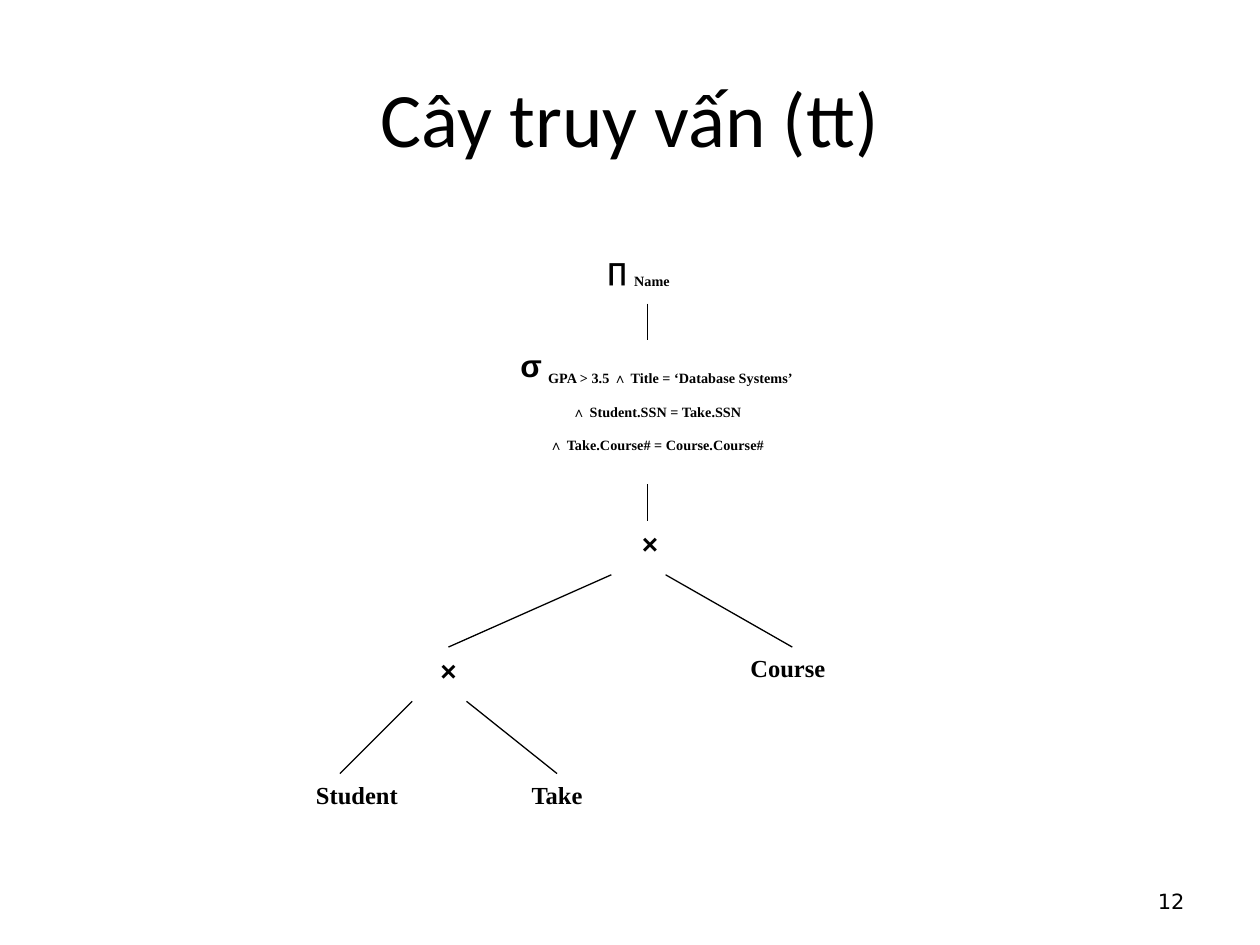
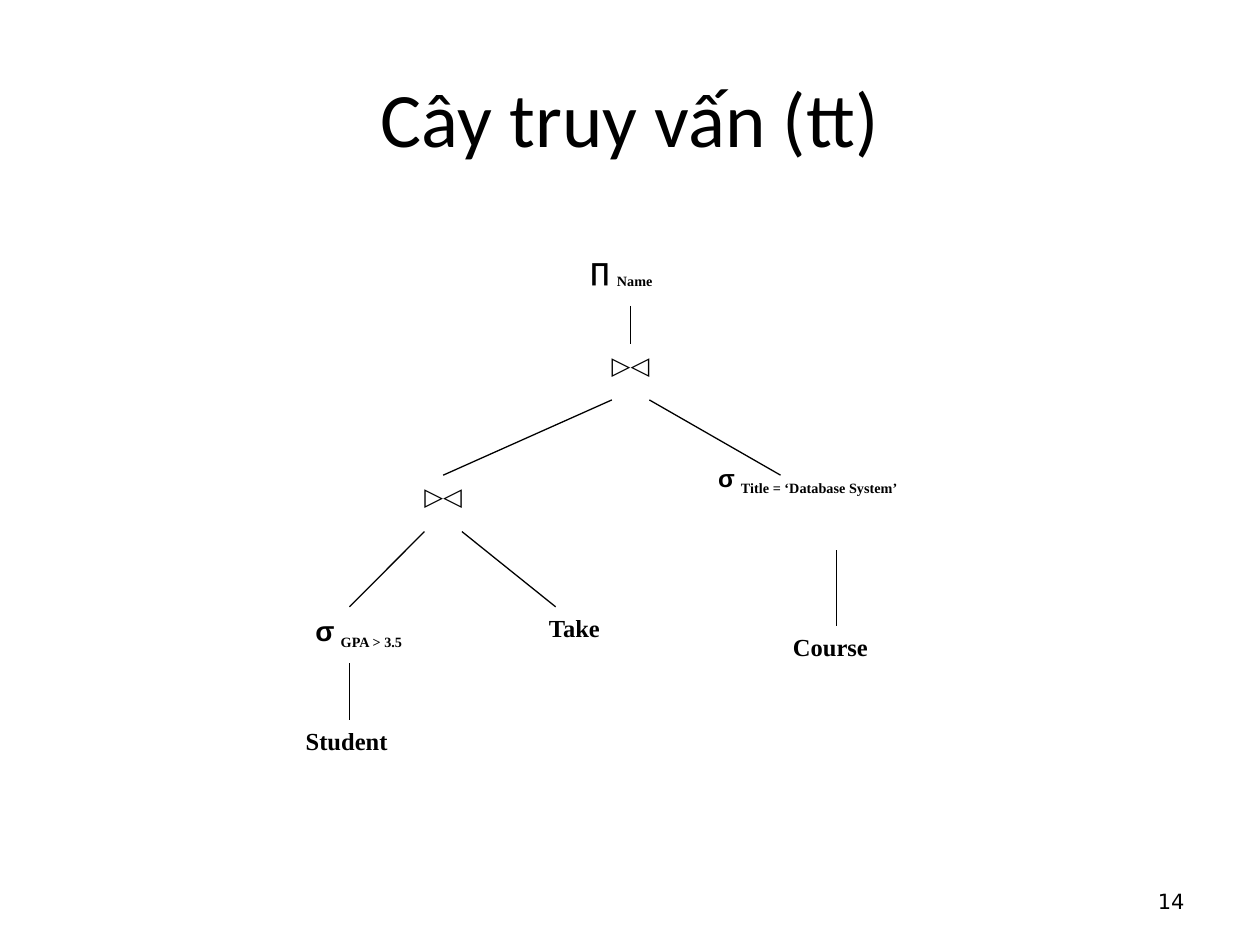
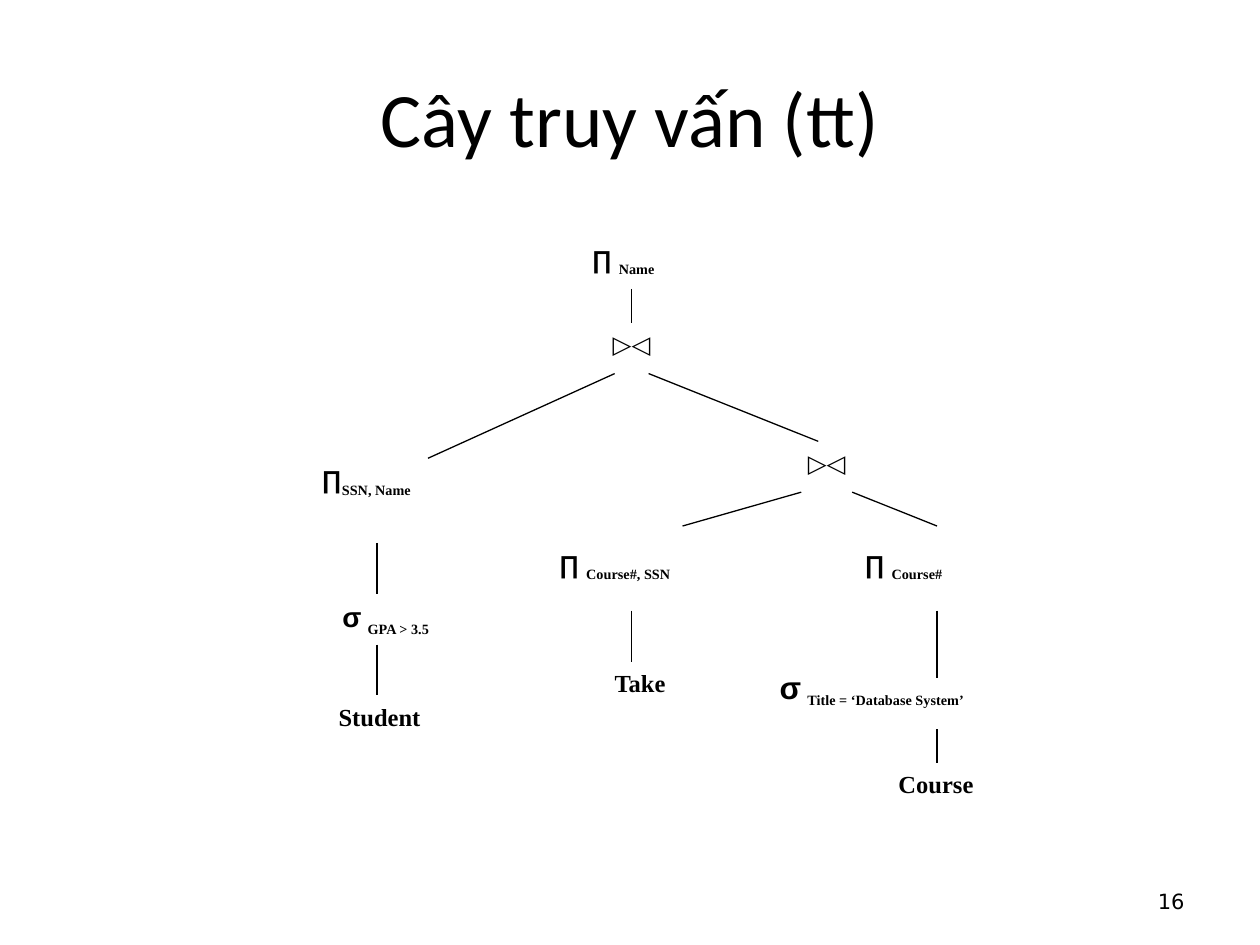
from pptx import Presentation
from pptx.dml.color import RGBColor
from pptx.enum.shapes import MSO_CONNECTOR as Connector
from pptx.enum.text import MSO_ANCHOR as Anchor, PP_ALIGN as Align
from pptx.oxml.ns import qn
from pptx.util import Inches, Pt
from lxml import etree

INK = "000000"
TITLE_BOX = (0.5, 0.3, 9, 1.25)
NUMBER_BOX = (7.17, 6.95, 2.33, 0.4)
SERIF, SANS = "Times New Roman", "Arial"
LEFT, CENTER = Align.LEFT, Align.CENTER


def color(hex_text):
    return RGBColor.from_string(hex_text)


def symbol(text, size=14):
    return text, SANS, size, True, 0


def word(text):
    return text, SERIF, 14, True, 0


def subscript(text, font=SERIF):
    return text, font, 14, True, -25000


def project(attributes, gap=" "):
    return [[symbol("∏" + gap), subscript(attributes)]]


def select(condition, size=16):
    return [[symbol("σ", size), word(" "), subscript(condition)]]


def relation(name):
    return [[word(name)]]


def and_condition(condition):
    return [subscript("∧", SANS), subscript(" " + condition)]


JOIN = [[symbol("▷◁")]]
PRODUCT = [[symbol("×", 16)]]
NAME = project("Name")
FULL_SELECTION = [
    select("GPA > 3.5 ", 18)[0] + and_condition("Title = ‘Database Systems’"),
    and_condition("Student.SSN = Take.SSN"),
    and_condition("Take.Course# = Course.Course#"),
]

PRODUCT_TREE = {
    "number": 12,
    "box": (2.41, 1.98, 4.74, 4.59),
    "grid": (33, 32),
    "nodes": [
        (14, 0, 9, 3, CENTER, NAME),
        (6, 5, 27, 8, CENTER, FULL_SELECTION),
        (18, 15, 3, 3, LEFT, PRODUCT),
        (5, 22, 6, 3, CENTER, PRODUCT),
        (24, 22, 7, 3, LEFT, relation("Course")),
        (0, 29, 7, 3, LEFT, relation("Student")),
        (10, 29, 8, 3, CENTER, relation("Take")),
    ],
    "edges": [
        (19, 3, 19, 5), (19, 13, 19, 15), (17, 18, 8, 22),
        (20, 18, 27, 22), (6, 25, 2, 29), (9, 25, 14, 29),
    ],
}

JOIN_TREE = {
    "number": 14,
    "box": (2.03, 1.98, 5.95, 4.18),
    "grid": (40, 28),
    "nodes": [
        (15, 0, 9, 3, CENTER, NAME),
        (17, 5, 6, 3, CENTER, JOIN),
        (7, 12, 6, 3, CENTER, JOIN),
        (24, 11, 16, 4, LEFT, select("Title = ‘Database System’", 14)),
        (0, 19, 11, 3, CENTER, select("GPA > 3.5")),
        (13, 19, 8, 3, CENTER, relation("Take")),
        (28, 20, 7, 3, LEFT, relation("Course")),
        (2, 25, 7, 3, LEFT, relation("Student")),
    ],
    "edges": [
        (20, 3, 20, 5), (19, 8, 10, 12), (21, 8, 28, 12), (9, 15, 5, 19),
        (11, 15, 16, 19), (31, 16, 31, 20), (5, 22, 5, 25),
    ],
}

PROJECTED_TREE = {
    "number": 16,
    "box": (2.32, 1.89, 5.79, 4.57),
    "grid": (43, 34),
    "nodes": [
        (15, 0, 9, 3, CENTER, NAME),
        (17, 5, 6, 3, CENTER, JOIN),
        (29, 12, 5, 3, CENTER, JOIN),
        (1, 13, 10, 4, LEFT, project("SSN, Name", "")),
        (15, 18, 11, 4, LEFT, project("Course#, SSN")),
        (33, 18, 8, 4, LEFT, project("Course#")),
        (0, 21, 11, 3, CENTER, select("GPA > 3.5")),
        (17, 25, 7, 3, CENTER, relation("Take")),
        (28, 25, 15, 3, LEFT, select("Title = ‘Database System’", 18)),
        (2, 27, 7, 3, LEFT, relation("Student")),
        (35, 31, 7, 3, LEFT, relation("Course")),
    ],
    "edges": [
        (20, 3, 20, 5), (19, 8, 8, 13), (21, 8, 31, 12), (30, 15, 23, 17),
        (33, 15, 38, 17), (5, 18, 5, 21), (5, 24, 5, 27), (20, 22, 20, 25),
        (38, 22, 38, 26), (38, 29, 38, 31),
    ],
}


def add_text(page, box, paragraphs, align, anchor=Anchor.TOP):
    frame = page.shapes.add_textbox(*map(Inches, box)).text_frame
    frame.word_wrap = True
    frame.vertical_anchor = anchor
    for index, spans in enumerate(paragraphs):
        para = frame.add_paragraph() if index else frame.paragraphs[0]
        para.alignment = align
        for text, font, size, bold, baseline in spans:
            span = para.add_run()
            span.text = text
            span.font.name = font
            span.font.size = Pt(size)
            span.font.bold = bold
            span.font.color.rgb = color(INK)
            if baseline:
                span.font._element.set("baseline", str(baseline))


def add_edge(page, start, end):
    edge = page.shapes.add_connector(
        Connector.STRAIGHT, *map(Inches, (*start, *end)))
    edge.line.color.rgb = color(INK)
    edge.line.width = Pt(0.75)
    etree.SubElement(edge._element.spPr, qn("a:effectLst"))


def add_tree(page, box, grid, nodes, edges):
    left, top, width, height = box
    column, row = width / grid[0], height / grid[1]

    def point(x, y):
        return left + x * column, top + y * row

    for x, y, columns, rows, align, paragraphs in nodes:
        node_box = (*point(x, y), columns * column, rows * row)
        add_text(page, node_box, paragraphs, align)
    for x1, y1, x2, y2 in edges:
        add_edge(page, point(x1, y1), point(x2, y2))


def add_tree_page(deck, number, **tree):
    page = deck.slides.add_slide(deck.slide_layouts[6])
    title = ("Cây truy vấn (tt)", "Calibri", 44, False, 0)
    page_number = (str(number), "DejaVu Sans", 12, False, 0)
    add_text(page, TITLE_BOX, [[title]], CENTER, Anchor.MIDDLE)
    add_text(page, NUMBER_BOX, [[page_number]], Align.RIGHT, Anchor.MIDDLE)
    add_tree(page, **tree)


def main():
    deck = Presentation()
    deck.slide_width, deck.slide_height = Inches(10), Inches(7.5)
    for tree in (PRODUCT_TREE, JOIN_TREE, PROJECTED_TREE):
        add_tree_page(deck, **tree)
    deck.save("out.pptx")


if __name__ == "__main__":
    main()
